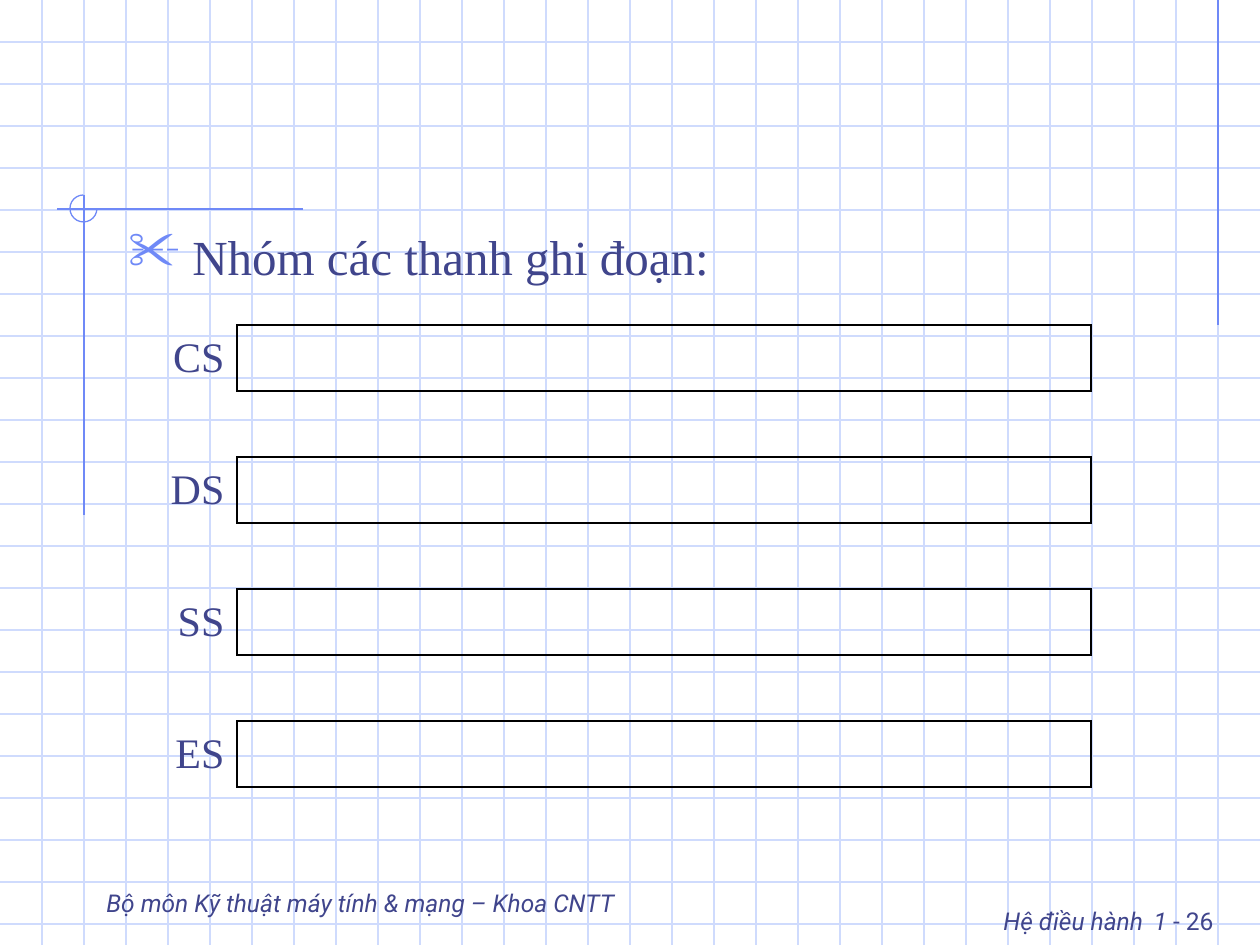
from dataclasses import dataclass

from lxml import etree
from pptx import Presentation
from pptx.dml.color import RGBColor
from pptx.enum.shapes import MSO_CONNECTOR, MSO_SHAPE
from pptx.enum.text import MSO_ANCHOR, PP_ALIGN
from pptx.oxml.ns import qn
from pptx.util import Emu, Pt

STRAIGHT = MSO_CONNECTOR.STRAIGHT
ARC = MSO_SHAPE.ARC
TOP, MIDDLE, BOTTOM = MSO_ANCHOR.TOP, MSO_ANCHOR.MIDDLE, MSO_ANCHOR.BOTTOM
LEFT, RIGHT = PP_ALIGN.LEFT, PP_ALIGN.RIGHT

EMU_PER_PX = 914400 / 126
WIDTH, HEIGHT = 1260, 945
GRID_STEP = 42
REGISTERS = ["CS", "DS", "SS", "ES"]


@dataclass(frozen=True)
class Theme:
    grid: str = "CFDBFD"
    accent: str = "6F89F7"
    ink: str = "40458C"
    border: str = "000000"
    serif: str = "Times New Roman"
    sans: str = "Roboto"
    heading: int = 28
    register: int = 24
    footer: int = 14
    rule: float = 0.75
    cell_rule: float = 0.96


THEME = Theme()


def px(length):
    return Emu(round(length * EMU_PER_PX))


def add_line(slide, start, end, color):
    line = slide.shapes.add_connector(STRAIGHT, *map(px, (*start, *end)))
    line.line.color.rgb = RGBColor.from_string(color)
    line.line.width = Pt(THEME.rule)
    etree.SubElement(line._element.spPr, qn("a:effectLst"))


def add_grid(slide):
    for y in range(GRID_STEP, HEIGHT, GRID_STEP):
        add_line(slide, (0, y), (WIDTH, y), THEME.grid)
    for x in range(GRID_STEP, WIDTH, GRID_STEP):
        add_line(slide, (x, 0), (x, HEIGHT), THEME.grid)


def add_corner_marks(slide):
    add_line(slide, (1218, 0), (1218, 325), THEME.accent)
    add_line(slide, (303, 209), (57, 209), THEME.accent)
    add_line(slide, (84, 195), (84, 515), THEME.accent)
    ring = slide.shapes.add_shape(ARC, *map(px, (70, 195, 27, 27)))
    ring.shadow.inherit = False
    ring.adjustments[0] = 0
    ring.adjustments[1] = 162
    ring.fill.background()
    ring.line.color.rgb = RGBColor.from_string(THEME.accent)
    ring.line.width = Pt(THEME.rule)


def write(paragraph, text, *, size, font, italic=False, align=LEFT):
    paragraph.alignment = align
    run = paragraph.add_run()
    run.text = text
    run.font.size = Pt(size)
    run.font.name = font
    run.font.italic = italic
    run.font.color.rgb = RGBColor.from_string(THEME.ink)


def add_text_area(slide, left, top, width, height, anchor=TOP):
    frame = slide.shapes.add_textbox(*map(px, (left, top, width, height))).text_frame
    frame.word_wrap = True
    frame.vertical_anchor = anchor
    return frame.paragraphs[0]


def set_bullet(paragraph, symbol, indent, color, percent):
    properties = paragraph._p.get_or_add_pPr()
    properties.set("marL", str(px(indent)))
    properties.set("indent", str(-px(indent)))
    bullet_color = etree.SubElement(properties, qn("a:buClr"))
    etree.SubElement(bullet_color, qn("a:srgbClr"), val=color)
    etree.SubElement(properties, qn("a:buSzPct"), val=str(percent * 1000))
    etree.SubElement(properties, qn("a:buChar"), char=symbol)


def add_heading(slide):
    heading = add_text_area(slide, 116, 220, 1029, 73)
    heading.space_before = Pt(7)
    set_bullet(heading, "✂", 48, THEME.accent, 110)
    write(heading, " Nhóm các thanh ghi đoạn:", size=THEME.heading, font=THEME.serif)


def set_borders(cell, sides):
    properties = cell._tc.get_or_add_tcPr()
    for side in "LRTB":
        edge = etree.SubElement(properties, qn(f"a:ln{side}"))
        if side in sides:
            edge.set("w", str(Pt(THEME.cell_rule)))
            fill = etree.SubElement(edge, qn("a:solidFill"))
            etree.SubElement(fill, qn("a:srgbClr"), val=THEME.border)
        else:
            etree.SubElement(edge, qn("a:noFill"))
    cell.fill.background()


def add_register_table(slide):
    widths = [132, 427, 427]
    row_height = 66
    row_count = 2 * len(REGISTERS) - 1
    table = slide.shapes.add_table(
        row_count, len(widths), px(105), px(325), px(sum(widths)), px(row_height * row_count)
    ).table
    table.first_row = False
    table.horz_banding = False
    for column, width in zip(table.columns, widths):
        column.width = px(width)
    for index, row in enumerate(table.rows):
        row.height = px(row_height)
        is_register = index % 2 == 0
        edges = ["R", "LTB", "RTB"] if is_register else ["", "TB", "TB"]
        if index == 0:
            edges[1] = "LRTB"
        for cell, sides in zip(row.cells, edges):
            set_borders(cell, sides)
        if is_register:
            label = row.cells[0]
            label.vertical_anchor = MIDDLE
            write(label.text_frame.paragraphs[0], REGISTERS[index // 2],
                  size=THEME.register, font=THEME.serif, align=RIGHT)
    table.cell(0, 1).merge(table.cell(0, 2))


def add_footers(slide):
    page = add_text_area(slide, 861, 882, 365, 63)
    for text, size, italic in [
        ("Hệ điều hành", THEME.footer, True),
        (" ", THEME.register, False),
        ("1", THEME.footer, True),
        (" - 26", THEME.footer, False),
    ]:
        write(page, text, size=size, font=THEME.sans, italic=italic, align=RIGHT)
    department = add_text_area(slide, 94, 861, 703, 63, anchor=BOTTOM)
    write(department, "Bộ môn Kỹ thuật máy tính & mạng – Khoa CNTT",
          size=THEME.footer, font=THEME.sans, italic=True)


def main():
    presentation = Presentation()
    presentation.slide_width = px(WIDTH)
    presentation.slide_height = px(HEIGHT)
    slide = presentation.slides.add_slide(presentation.slide_layouts[6])
    add_grid(slide)
    add_corner_marks(slide)
    add_footers(slide)
    add_heading(slide)
    add_register_table(slide)
    presentation.save("out.pptx")


if __name__ == "__main__":
    main()
